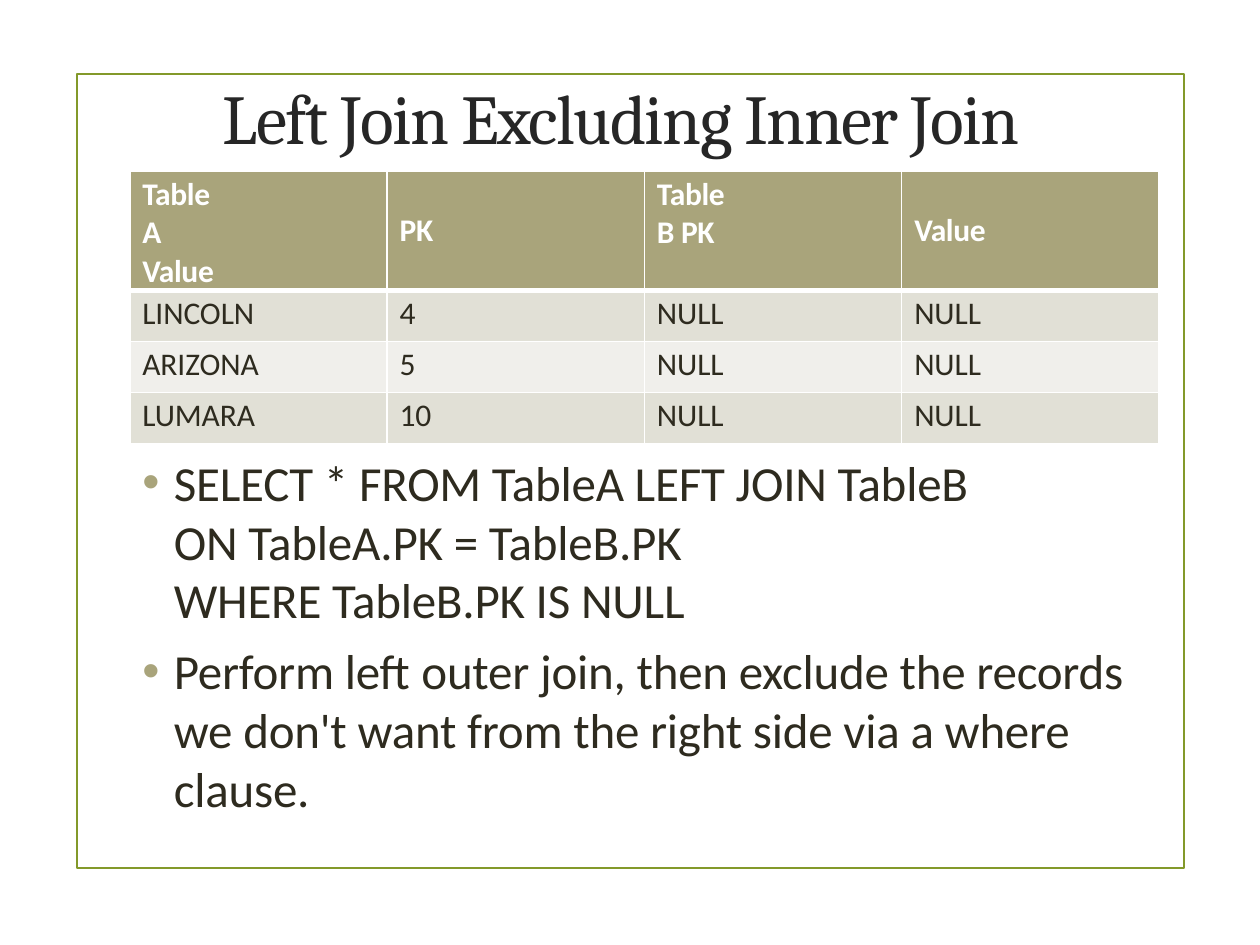
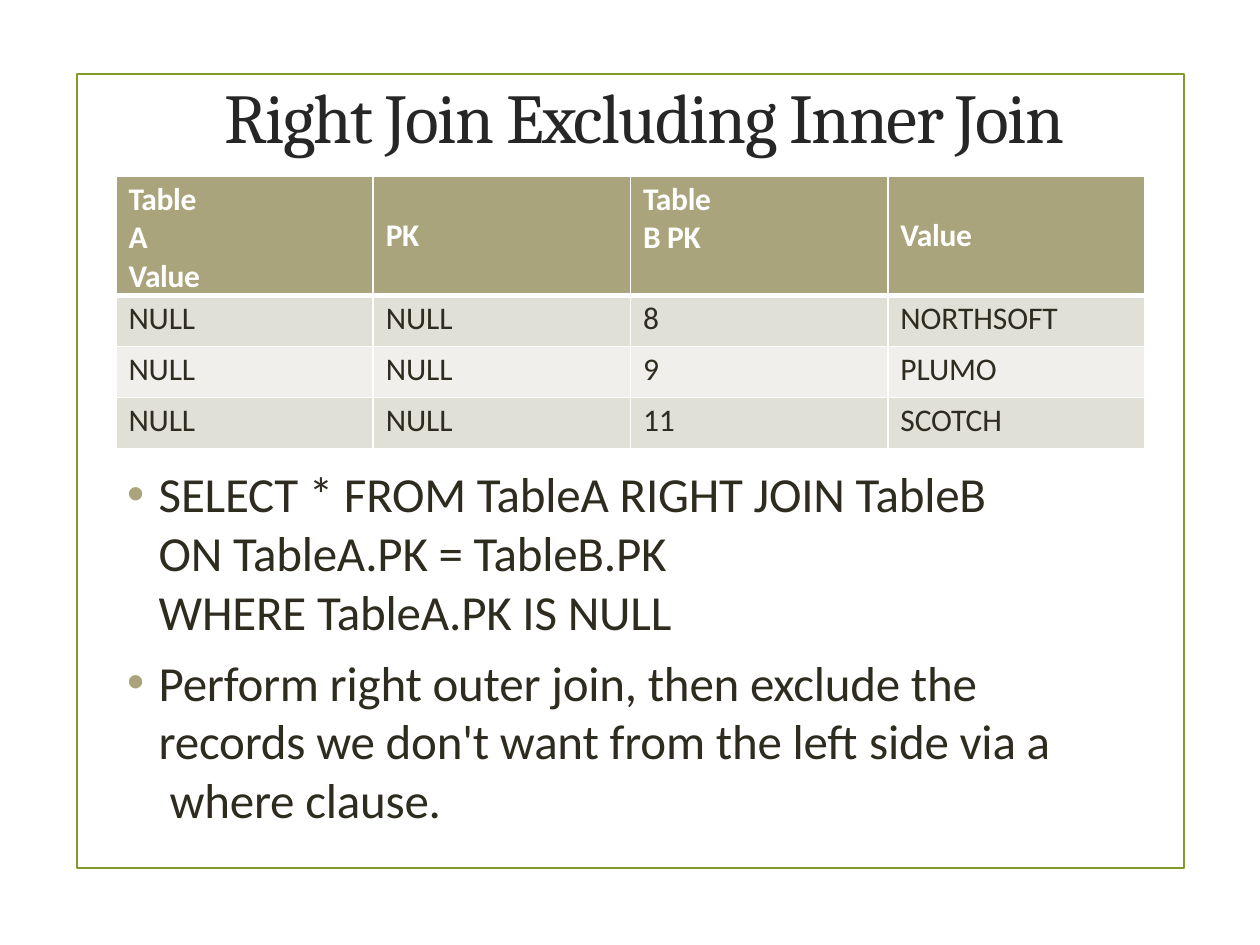
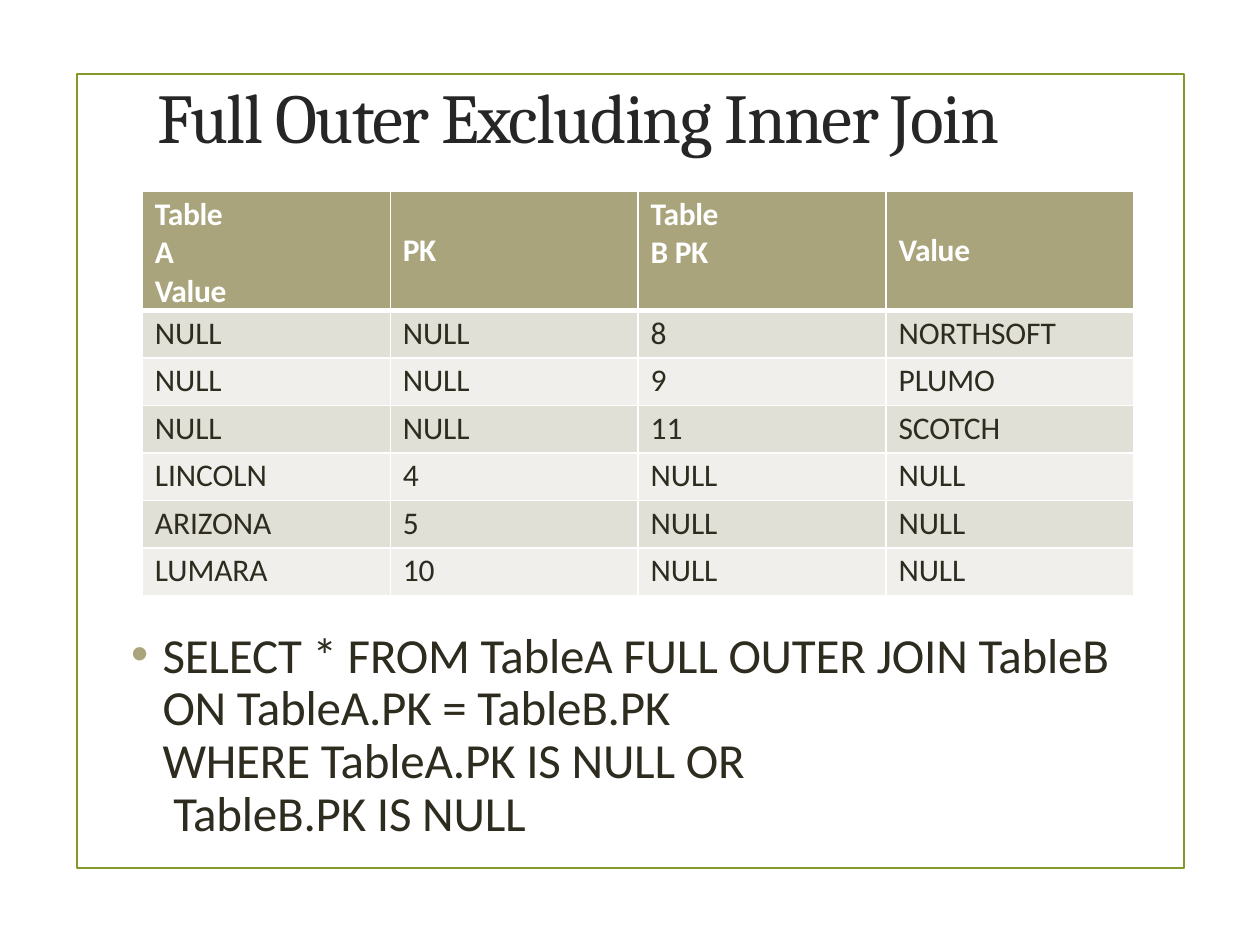
from copy import deepcopy

from lxml.etree import SubElement
from pptx import Presentation
from pptx.dml.color import RGBColor
from pptx.enum.shapes import MSO_SHAPE
from pptx.enum.text import MSO_ANCHOR, MSO_AUTO_SIZE, PP_ALIGN
from pptx.oxml.ns import qn
from pptx.util import Inches, Pt

GREEN = RGBColor(0x83, 0x99, 0x2A)
KHAKI = RGBColor(0xA9, 0xA4, 0x7B)
BAND_DARK = RGBColor(0xE1, 0xE0, 0xD6)
BAND_LIGHT = RGBColor(0xF0, 0xEF, 0xEB)
INK = RGBColor(0x2E, 0x2B, 0x1F)
TITLE_INK = RGBColor(0x26, 0x26, 0x26)
WHITE = RGBColor(0xFF, 0xFF, 0xFF)

TITLE = {"name": "Cambria", "size": Pt(40), "color": TITLE_INK, "spc": -90}
BODY = {"name": "Calibri", "size": Pt(28), "color": INK, "spc": -12}
CELL = {"name": "Calibri", "size": Pt(18), "color": INK, "bold": False, "spc": -5}
HEAD = {**CELL, "color": WHITE, "bold": True, "spc": -20}

HEADINGS = ["TableA Value", "PK", "TableB PK", "Value"]
LEFT_ONLY = [
    ["LINCOLN", "4", "NULL", "NULL"],
    ["ARIZONA", "5", "NULL", "NULL"],
    ["LUMARA", "10", "NULL", "NULL"],
]
RIGHT_ONLY = [
    ["NULL", "NULL", "8", "NORTHSOFT"],
    ["NULL", "NULL", "9", "PLUMO"],
    ["NULL", "NULL", "11", "SCOTCH"],
]


class Deck:
    COLS, ROWS = 100, 75
    FRAME = (6.1, 5.9, 87.9, 63)
    CELL_INDENT = Inches(0.1)
    HEADING_WIDTH = Inches(0.63)

    def __init__(self):
        self.prs = Presentation()
        self.prs.slide_width, self.prs.slide_height = Inches(10), Inches(7.5)
        self.s = None

    def grid(self, x, y, w, h):
        col = self.prs.slide_width / self.COLS
        row = self.prs.slide_height / self.ROWS
        return [round(n) for n in (x * col, y * row, w * col, h * row)]

    def place(self, sp, at):
        sp.left, sp.top, sp.width, sp.height = self.grid(*at)

    def set_frame(self, tf, top, anchor):
        values = {
            "margin_left": 0, "margin_right": 0, "margin_bottom": 0,
            "margin_top": Inches(top), "word_wrap": True,
            "auto_size": MSO_AUTO_SIZE.NONE, "vertical_anchor": anchor,
        }
        for key, value in values.items():
            setattr(tf, key, value)

    def set_text(self, p, text, style, before):
        p.text = text
        p.space_before = Pt(before)
        for r in p.runs:
            for key, value in style.items():
                if key == "color":
                    r.font.color.rgb = value
                elif key == "spc":
                    r._r.get_or_add_rPr().set("spc", str(value))
                else:
                    setattr(r.font, key, value)
        for br in p._p.findall(qn("a:br")):
            br.insert(0, deepcopy(p.runs[0]._r.rPr))

    def indent(self, p, **values):
        pPr = p._p.get_or_add_pPr()
        for key, value in values.items():
            pPr.set(key, str(int(value)))
        return pPr

    def slide(self):
        self.s = self.prs.slides.add_slide(self.prs.slide_layouts[1])
        sp = self.s.shapes.add_shape(MSO_SHAPE.RECTANGLE, *self.grid(*self.FRAME))
        sp.shadow.inherit = False
        sp.fill.background()
        sp.line.color.rgb = GREEN
        sp.line.width = Pt(1.25)
        self.s.shapes._spTree.insert(2, sp._element)

    def title(self, text, at):
        sp = self.s.shapes.title
        self.place(sp, at)
        self.set_frame(sp.text_frame, 0.01, MSO_ANCHOR.MIDDLE)
        p = sp.text_frame.paragraphs[0]
        self.set_text(p, text, TITLE, 1.1)
        p.alignment = PP_ALIGN.CENTER

    def bullets(self, items, at, top=0.01, first=1, leading=None):
        sp = self.s.placeholders[1]
        self.place(sp, at)
        tf = sp.text_frame
        self.set_frame(tf, top, MSO_ANCHOR.TOP)
        for i, (text, bulleted) in enumerate(items):
            p = tf.paragraphs[0] if i == 0 else tf.add_paragraph()
            before = first if i == 0 else 6.8 if bulleted else 0
            self.set_text(p, text, BODY, before)
            if leading:
                p.line_spacing = Pt(leading)
            hang = Inches(-0.25) if bulleted else 0
            pPr = self.indent(p, marL=Inches(0.26), indent=hang)
            if bulleted:
                clr = SubElement(pPr, qn("a:buClr"))
                SubElement(clr, qn("a:srgbClr"), val=str(KHAKI))
                SubElement(pPr, qn("a:buFont"), typeface="Arial")
                SubElement(pPr, qn("a:buChar"), char="•")
            else:
                SubElement(pPr, qn("a:buNone"))

    def borders(self, cell, top, bottom):
        tcPr = cell._tc.get_or_add_tcPr()
        for side, width in {"L": 1, "R": 1, "T": top, "B": bottom}.items():
            ln = SubElement(tcPr, qn(f"a:ln{side}"), w=str(int(Pt(width))))
            fill = SubElement(ln, qn("a:solidFill"))
            SubElement(fill, qn("a:srgbClr"), val=str(WHITE))

    def cell(self, cell, text, row, width):
        head = row == 0
        lowered = head and " " not in text
        margins = {"left": 0, "right": 0, "bottom": 0,
                   "top": Inches(0.32 if lowered else 0.03)}
        for side, value in margins.items():
            setattr(cell, f"margin_{side}", value)
        self.borders(cell, 3 if row == 1 else 1, 3 if head else 1)
        cell.fill.solid()
        cell.fill.fore_color.rgb = (
            KHAKI if head else BAND_DARK if row % 2 else BAND_LIGHT)
        p = cell.text_frame.paragraphs[0]
        self.set_text(p, text, HEAD if head else CELL, 2.5)
        self.indent(p, marL=self.CELL_INDENT)
        if head and not lowered:
            self.indent(p, marR=width - self.CELL_INDENT - self.HEADING_WIDTH)

    def table(self, records, x, y, width, head_height, row_height):
        data = [HEADINGS] + records
        at = (x, y, width, head_height + row_height * len(records))
        tb = self.s.shapes.add_table(len(data), len(HEADINGS), *self.grid(*at)).table
        tb.horz_banding = False
        for i, values in enumerate(data):
            height = row_height if i else head_height
            tb.rows[i].height = self.grid(0, 0, 0, height)[3]
            for j, text in enumerate(values):
                self.cell(tb.cell(i, j), text, i, tb.columns[j].width)


def main():
    deck = Deck()

    deck.slide()
    deck.title("Left Join Excluding Inner Join", (11.5, 5.2, 75.6, 8))
    deck.bullets([
        ("SELECT * FROM TableA LEFT JOIN TableB\nON TableA.PK = TableB.PK", True),
        ("WHERE TableB.PK IS NULL", False),
        ("Perform left outer join, then exclude the records we don't want "
         "from the right side via a where clause.", True),
    ], (11.2, 35.8, 79, 29.2))
    deck.table(LEFT_ONLY, 10.3, 13.6, 81.7, 7, 4.05)

    deck.slide()
    deck.title("Right Join Excluding Inner Join", (11.5, 5.1, 79.3, 8))
    deck.bullets([
        ("SELECT * FROM TableA RIGHT JOIN TableB\nON TableA.PK = TableB.PK", True),
        ("WHERE TableA.PK IS NULL", False),
        ("Perform right outer join, then exclude the records we don't want "
         "from the left side via a\n where clause.", True),
    ], (10, 36.7, 74.3, 29.2))
    deck.table(RIGHT_ONLY, 9.2, 14, 81.7, 7, 4.05)

    deck.slide()
    deck.title("Full Outer Excluding Inner Join", (5.9, 5.1, 80, 8))
    deck.bullets([
        ("SELECT * FROM TableA FULL OUTER JOIN TableB\n"
         "ON TableA.PK = TableB.PK", True),
        ("WHERE TableA.PK IS NULL OR\n TableB.PK IS NULL", False),
    ], (10.3, 49.3, 78.7, 17.5), top=0.07, first=4.8, leading=30.2)
    deck.table(RIGHT_ONLY + LEFT_ONLY, 11.3, 15.2, 78.7, 6.5, 3.77)

    deck.prs.save("out.pptx")


if __name__ == "__main__":
    main()
